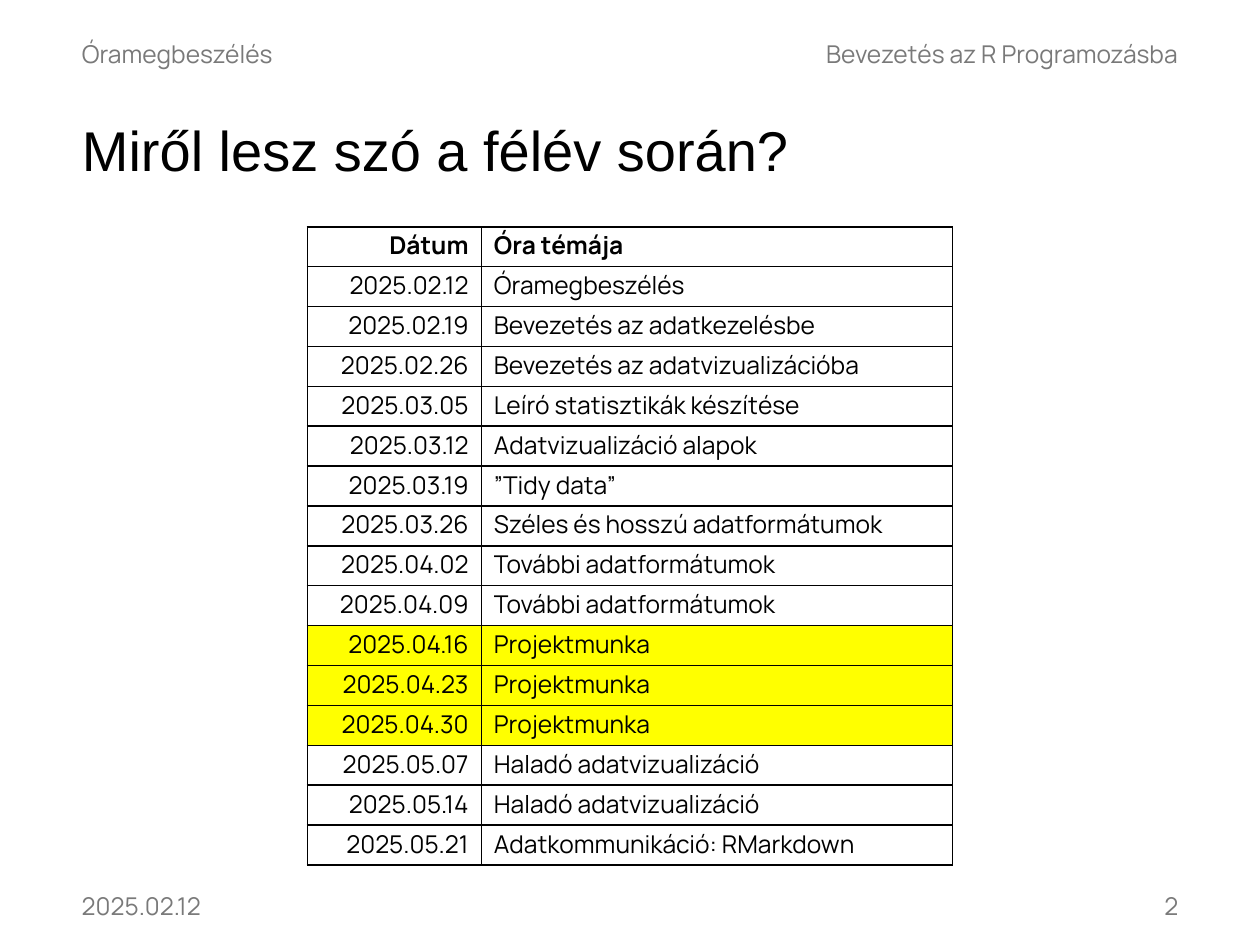
"""Build the course schedule slide."""
import lxml.etree
import pptx
import pptx.dml.color
import pptx.enum.text
import pptx.oxml.ns
import pptx.util

Inches = pptx.util.Inches
RGBColor = pptx.dml.color.RGBColor
ALIGN = pptx.enum.text.PP_ALIGN
MIDDLE = pptx.enum.text.MSO_ANCHOR.MIDDLE
qn = pptx.oxml.ns.qn

BLACK = RGBColor(0x00, 0x00, 0x00)
WHITE = RGBColor(0xFF, 0xFF, 0xFF)
GRAY = RGBColor(0x79, 0x79, 0x79)
YELLOW = RGBColor(0xFF, 0xFF, 0x00)

PROJECT = "Projektmunka"
SCHEDULE = [
    ("Dátum", "Óra témája"),
    ("2025.02.12", "Óramegbeszélés"),
    ("2025.02.19", "Bevezetés az adatkezelésbe"),
    ("2025.02.26", "Bevezetés az adatvizualizációba"),
    ("2025.03.05", "Leíró statisztikák készítése"),
    ("2025.03.12", "Adatvizualizáció alapok"),
    ("2025.03.19", "”Tidy data”"),
    ("2025.03.26", "Széles és hosszú adatformátumok"),
    ("2025.04.02", "További adatformátumok"),
    ("2025.04.09", "További adatformátumok"),
    ("2025.04.16", PROJECT),
    ("2025.04.23", PROJECT),
    ("2025.04.30", PROJECT),
    ("2025.05.07", "Haladó adatvizualizáció"),
    ("2025.05.14", "Haladó adatvizualizáció"),
    ("2025.05.21", "Adatkommunikáció: RMarkdown"),
]


def write(tf, text, size=14, font="Manrope", color=BLACK, bold=False,
          align=ALIGN.LEFT, spacing=0.9, before=0):
    """Write one formatted paragraph into a text frame."""
    p = tf.paragraphs[0]
    p.alignment = align
    p.line_spacing = spacing
    p.space_before = pptx.util.Pt(before)
    r = p.add_run()
    r.text = text
    r.font.size = pptx.util.Pt(size)
    r.font.name = font
    r.font.bold = bold
    r.font.color.rgb = color
    return p


def place(sp, left, top, width, height):
    """Position a text shape and set up its frame."""
    sp.left, sp.top = Inches(left), Inches(top)
    sp.width, sp.height = Inches(width), Inches(height)
    tf = sp.text_frame
    tf.word_wrap = True
    tf.auto_size = pptx.enum.text.MSO_AUTO_SIZE.NONE
    tf.vertical_anchor = MIDDLE
    return tf


def add_header(sp, text, left, align):
    """Fill a body placeholder as an unbulleted page header."""
    tf = place(sp, left, 0.25, 4.25, 0.39)
    p = write(tf, text, color=GRAY, align=align, before=12)
    pPr = p._p.get_or_add_pPr()
    pPr.set("marL", "0")
    pPr.set("indent", "0")
    lxml.etree.SubElement(pPr, qn("a:buNone"))


def add_footer(s, text, left, width, height, **fmt):
    """Add a footer text box."""
    sp = s.shapes.add_textbox(0, 0, 0, 0)
    write(place(sp, left, 7.01, width, height), text, color=GRAY, **fmt)


def add_borders(cell):
    """Draw a thin black line on every side of a cell."""
    tcPr = cell._tc.get_or_add_tcPr()
    for side in ("a:lnL", "a:lnR", "a:lnT", "a:lnB"):
        ln = lxml.etree.SubElement(tcPr, qn(side), w=str(pptx.util.Pt(1)))
        fill = lxml.etree.SubElement(ln, qn("a:solidFill"))
        lxml.etree.SubElement(fill, qn("a:srgbClr"), val=str(BLACK))


def add_schedule(s):
    """Add the schedule table with project weeks highlighted."""
    height = Inches(5.07)
    table = s.shapes.add_table(len(SCHEDULE), 2, Inches(2.44), Inches(1.8),
                               Inches(5.12), height).table
    table.first_row = table.horz_banding = False
    for column, width in zip(table.columns, (1.38, 3.74)):
        column.width = Inches(width)
    for i, row in enumerate(SCHEDULE):
        table.rows[i].height = height // len(SCHEDULE)
        for j, text in enumerate(row):
            cell = table.cell(i, j)
            cell.vertical_anchor = MIDDLE
            add_borders(cell)
            cell.fill.solid()
            cell.fill.fore_color.rgb = YELLOW if row[1] == PROJECT else WHITE
            write(cell.text_frame, text, bold=i == 0, spacing=0.8,
                  align=ALIGN.LEFT if j else ALIGN.RIGHT)


def main():
    """Create and save the presentation."""
    prs = pptx.Presentation()
    prs.slide_width, prs.slide_height = Inches(10), Inches(7.5)
    s = prs.slides.add_slide(prs.slide_layouts.get_by_name("Two Content"))
    title, left, right = s.placeholders
    write(place(title, 0.55, 0.76, 8.9, 0.91), "Miről lesz szó a félév során?",
          size=32, font="Arial")
    add_schedule(s)
    add_header(left, "Óramegbeszélés", 0.55, ALIGN.LEFT)
    add_header(right, "Bevezetés az R Programozásba", 5.2, ALIGN.RIGHT)
    add_footer(s, "2025.02.12", 0.55, 4.25, 0.39, before=12)
    add_footer(s, "2", 6.83, 2.62, 0.36, align=ALIGN.RIGHT, spacing=1.0)
    prs.save("out.pptx")


if __name__ == "__main__":
    main()
